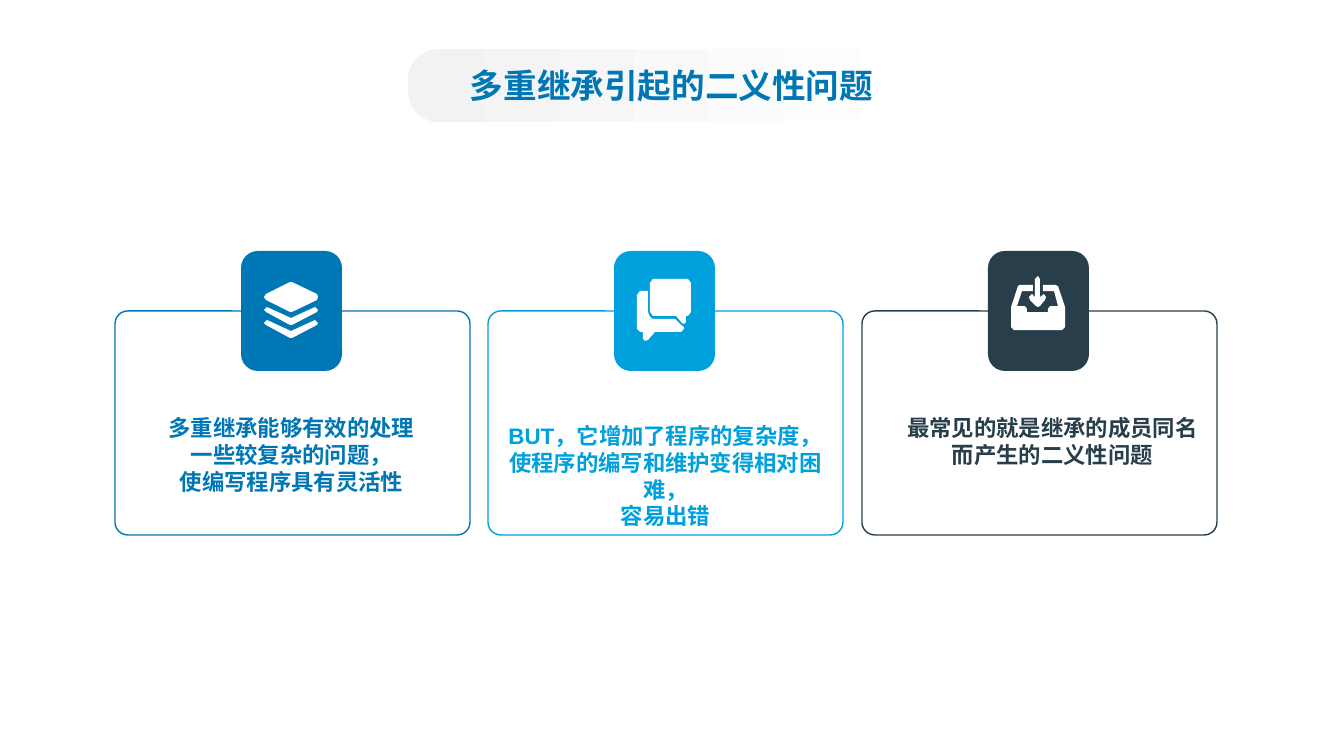
from pptx import Presentation
from pptx.dml.color import RGBColor
from pptx.enum.shapes import MSO_SHAPE
from pptx.enum.text import MSO_ANCHOR, PP_ALIGN
from pptx.oxml.ns import qn
from pptx.util import Pt

ROUNDED = MSO_SHAPE.ROUNDED_RECTANGLE
CENTER = PP_ALIGN.CENTER
MIDDLE = MSO_ANCHOR.MIDDLE
TITLE_ONLY = 5
PX = 914400 / 100.8
COLORS = {
    "blue": "0077B5",
    "sky": "00A0DC",
    "slate": "283E4A",
    "grey": "F2F2F2",
    "white": "FFFFFF",
}

LAYER_TOP = [(2, 12), (26, 0), (28, 0), (53, 12), (54, 15), (53, 18),
             (28, 30), (26, 30), (2, 18), (0, 15)]
LAYER_EDGE = [(3, 25), (27, 36), (51, 25), (54, 28), (53, 30), (28, 43),
              (26, 43), (2, 30), (0, 28)]
LAYERS = [LAYER_TOP, LAYER_EDGE, [(x, y + 13) for x, y in LAYER_EDGE]]

FRONT_BUBBLE = [(16, 0), (51, 0), (54, 4), (54, 33), (51, 37), (49, 37),
                (49, 43), (47, 45), (45, 44), (39, 37), (16, 37), (13, 33),
                (13, 4)]
BACK_BUBBLE = [(38, 40), (44, 46), (47, 48), (47, 50), (44, 53), (18, 53),
               (11, 61), (8, 62), (6, 60), (6, 53), (3, 53), (0, 50),
               (0, 16), (3, 12), (11, 12), (11, 33), (13, 38), (16, 40)]
BUBBLES = [FRONT_BUBBLE, BACK_BUBBLE]

TRAY = [(51, 54), (3, 54), (0, 51), (0, 31), (7, 10), (9, 9), (22, 9),
        (22, 15), (11, 15), (6, 30), (14, 30), (16, 33), (16, 36), (37, 36),
        (37, 33), (39, 30), (47, 30), (43, 15), (32, 15), (32, 9), (44, 9),
        (47, 10), (54, 31), (54, 51)]
ARROW = [(35, 21), (34, 24), (29, 30), (27, 31), (25, 30), (19, 24),
         (18, 21), (21, 18), (24, 21), (24, 3), (27, 0), (29, 3), (29, 21),
         (33, 18)]
INBOX = [TRAY, ARROW]

CARDS = [
    {"color": "blue", "icon": LAYERS, "icon_top": 31, "text_at": (15, 103),
     "text": "多重继承能够有效的处理\n一些较复杂的问题，\n使编写程序具有灵活性"},
    {"color": "sky", "icon": BUBBLES, "icon_top": 28, "text_at": (16, 111),
     "text": "BUT，它增加了程序的复杂度，\n使程序的编写和维护变得相对困难，\n容易出错"},
    {"color": "slate", "icon": INBOX, "icon_top": 25, "text_at": (29, 103),
     "text": "最常见的就是继承的成员同名\n而产生的二义性问题"},
]


def rgb(name):
    """Return the palette colour called name."""
    return RGBColor.from_string(COLORS[name])


def emu(*lengths):
    """Turn px lengths into EMU."""
    return [round(length * PX) for length in lengths]


def paint(shape, fill=None, line=None):
    """Give a shape a plain fill and outline, without a shadow."""
    shape.shadow.inherit = False
    if fill:
        shape.fill.solid()
        shape.fill.fore_color.rgb = rgb(fill)
    else:
        shape.fill.background()
    if line:
        shape.line.color.rgb = rgb(line)
        shape.line.width = Pt(1)
    else:
        shape.line.fill.background()


def format_text(frame, size, font, color):
    """Centre the paragraphs and format their runs in bold."""
    for paragraph in frame.paragraphs:
        paragraph.alignment = CENTER
        for run in paragraph.runs:
            run.font.size = Pt(size)
            run.font.name = font
            run.font.bold = True
            run.font.color.rgb = rgb(color)
            east_asian = run.font._element.makeelement(
                qn("a:ea"), {"typeface": "Noto Sans CJK SC"})
            run.font._element.find(qn("a:latin")).addnext(east_asian)


def draw_heading(slide, box):
    """Place the title over a rounded band that fades to white."""
    band = slide.shapes.add_shape(ROUNDED, *emu(*box))
    paint(band, "grey")
    band.adjustments[0] = 0.42
    band.fill.gradient()
    band.fill.gradient_angle = 0
    for stop, name in zip(band.fill.gradient_stops, ("grey", "white")):
        stop.color.rgb = rgb(name)

    title = slide.shapes.title
    title._element.addprevious(band._element)
    title.left, title.top, title.width, title.height = emu(*box)
    title.text_frame.text = "多重继承引起的二义性问题"
    title.text_frame.vertical_anchor = MIDDLE
    format_text(title.text_frame, 24, "Noto Sans CJK SC", "blue")


def draw_icon(slide, left, top, outlines):
    """Draw closed outlines as one white shape."""
    placed = [[(left + x, top + y) for x, y in outline] for outline in outlines]
    builder = slide.shapes.build_freeform(*placed[0][0], scale=PX)
    builder.add_line_segments(placed[0][1:], close=True)
    for outline in placed[1:]:
        builder.move_to(*outline[0])
        builder.add_line_segments(outline[1:], close=True)
    paint(builder.convert_to_shape(), "white")


def draw_card(slide, box, card):
    """Place a framed statement with an icon badge on its top edge."""
    left, top, width, height = box
    frame = slide.shapes.add_shape(ROUNDED, *emu(*box))
    frame.adjustments[0] = 0.057
    paint(frame, line=card["color"])

    badge_left, badge_top = left + 126, top - 60
    badge = slide.shapes.add_shape(ROUNDED, *emu(badge_left, badge_top, 101, 120))
    paint(badge, card["color"])
    draw_icon(slide, badge_left + 23, badge_top + card["icon_top"], card["icon"])

    text_left, text_top = card["text_at"]
    statement = slide.shapes.add_textbox(
        *emu(left + text_left, top + text_top, 323, 101)).text_frame
    statement.margin_left = statement.margin_right = 0
    statement.margin_top = statement.margin_bottom = 0
    statement.word_wrap = False
    statement.text = card["text"]
    format_text(statement, 16, "Arial", card["color"])


def main():
    """Build and save the slide."""
    deck = Presentation()
    deck.slide_width, deck.slide_height = emu(1344, 756)
    slide = deck.slides.add_slide(deck.slide_layouts[TITLE_ONLY])
    draw_heading(slide, (408, 49, 527, 73))
    for index, card in enumerate(CARDS):
        draw_card(slide, (115 + 747 * index // 2, 311, 355, 224), card)
    deck.save("out.pptx")


if __name__ == "__main__":
    main()
